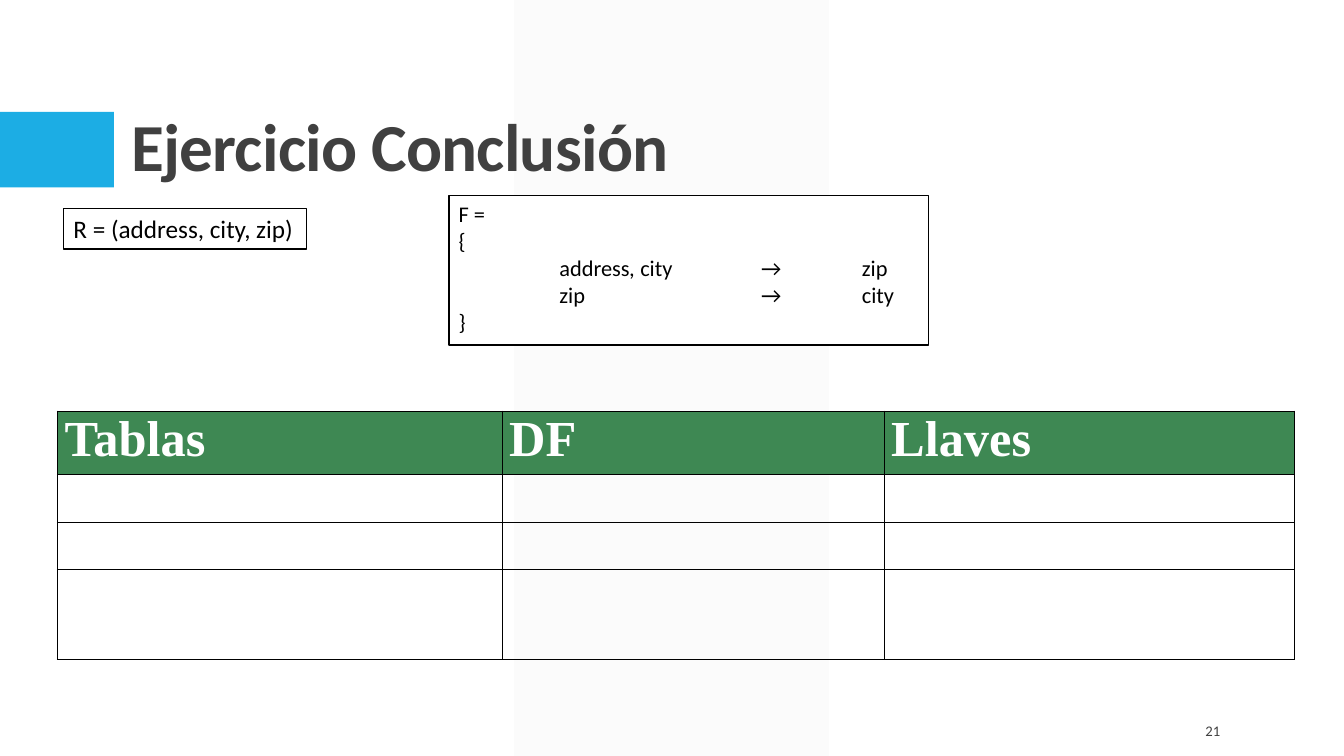
import pptx
import pptx.util
import pptx.dml.color
import pptx.enum.shapes
import pptx.enum.text
import pptx.oxml
import pptx.oxml.ns
import lxml.etree

Inches = pptx.util.Inches
Pt = pptx.util.Pt
SHAPES = pptx.enum.shapes.MSO_SHAPE
ALIGN = pptx.enum.text.PP_ALIGN
ANCHOR = pptx.enum.text.MSO_ANCHOR
AUTO_SIZE = pptx.enum.text.MSO_AUTO_SIZE

INK, GREY, WHITE = "000000", "404040", "FFFFFF"
BLUE, GREEN, PALE = "1CADE4", "3E8853", "F2F2F2"


def colour(value):
    return pptx.dml.color.RGBColor.from_string(value)


def add_element(parent, tag, **attributes):
    element = lxml.etree.SubElement(parent, pptx.oxml.ns.qn(tag))
    for name, value in attributes.items():
        element.set(name, str(value))
    return element


def set_values(target, values):
    for name, value in values.items():
        setattr(target, name, value)


def add_span(para, text, ink, **font_values):
    span = para.add_run()
    span.text = text
    set_values(span.font, {"name": "Calibri", **font_values})
    span.font.color.rgb = colour(ink)
    return span


def add_block(page, box, kind, fill, line=None):
    block = page.shapes.add_shape(kind, *map(Inches, box))
    block.shadow.inherit = False
    block.fill.solid()
    block.fill.fore_color.rgb = colour(fill)
    if line:
        block.line.color.rgb = colour(line)
        block.line.width = Pt(1.25)
    else:
        block.line.fill.background()
    return block


def add_backdrop(page, box):
    left, top, width, height = box
    # Translucent vertical band
    band = add_block(page, (left + 5.1, top, 3.12, height), SHAPES.PARALLELOGRAM, PALE)
    band.adjustments[0] = 0
    tint = band.fill._xPr.find(".//" + pptx.oxml.ns.qn("a:srgbClr"))
    add_element(tint, "a:alpha", val=30000)
    # Accent beside the title
    add_block(page, (left, top + 1.11, 1.13, 0.75), SHAPES.RECTANGLE, BLUE)


def add_title(page, box, text):
    title = page.shapes.title
    page.shapes._spTree.append(title._element)  # in front of the backdrop
    set_values(title, dict(zip(("left", "top", "width", "height"), map(Inches, box))))
    set_values(title.text_frame, {"vertical_anchor": ANCHOR.BOTTOM, "word_wrap": True,
                                  "auto_size": AUTO_SIZE.NONE})
    para = title.text_frame.paragraphs[0]
    set_values(para, {"alignment": ALIGN.LEFT, "line_spacing": 0.9})
    span = add_span(para, text, GREY, size=Pt(48), bold=True)
    span._r.get_or_add_rPr().set("spc", "-50")


def add_page_number(page, box, text):
    frame = page.shapes.add_textbox(*map(Inches, box)).text_frame
    set_values(frame, {"vertical_anchor": ANCHOR.MIDDLE, "word_wrap": True})
    frame.paragraphs[0].alignment = ALIGN.RIGHT
    add_span(frame.paragraphs[0], text, GREY, size=Pt(10.5))


def add_definition(page, box, lines, size, wrap):
    frame = add_block(page, box, SHAPES.RECTANGLE, WHITE, INK).text_frame
    set_values(frame, {"vertical_anchor": ANCHOR.TOP, "word_wrap": wrap,
                       "auto_size": AUTO_SIZE.SHAPE_TO_FIT_TEXT})
    for index, pieces in enumerate(lines):
        para = frame.add_paragraph() if index else frame.paragraphs[0]
        para.alignment = ALIGN.LEFT
        # Tab stops at every inch
        stops = add_element(para._p.get_or_add_pPr(), "a:tabLst")
        for inch in range(1, 5):
            add_element(stops, "a:tab", pos=Inches(inch), algn="l")
        for text, italic in pieces:
            add_span(para, text, INK, size=Pt(size), italic=italic)


def add_borders(cell):
    properties = cell._tc.get_or_add_tcPr()
    for index, side in enumerate(("a:lnL", "a:lnR", "a:lnT", "a:lnB")):
        edge = pptx.oxml.parse_xml(
            f'<{side} {pptx.oxml.ns.nsdecls("a")} w="{Pt(1)}"><a:solidFill>'
            f'<a:srgbClr val="{INK}"/></a:solidFill></{side}>')
        properties.insert(index, edge)


def add_answer_table(page, box, headings, widths, heights):
    table = page.shapes.add_table(len(heights), len(widths), *map(Inches, box)).table
    set_values(table, {"first_row": False, "horz_banding": False})
    for column, width in zip(table.columns, widths):
        column.width = Inches(width)
    for row, height in zip(table.rows, heights):
        row.height = Inches(height)
    for cell in table.iter_cells():
        cell.fill.background()
        add_borders(cell)
    # Header row
    for cell, heading in zip(table.rows[0].cells, headings):
        cell.fill.solid()
        cell.fill.fore_color.rgb = colour(GREEN)
        set_values(cell, {"margin_left": Inches(0.07), "margin_right": Inches(0.07),
                          "margin_top": 0, "margin_bottom": 0})
        para = cell.text_frame.paragraphs[0]
        para.alignment = ALIGN.JUSTIFY
        add_span(para, heading, WHITE, name="Times New Roman", size=Pt(36), bold=True)


def build_exercise_page(deck, box):
    page = deck.slides.add_slide(deck.slide_layouts.get_by_name("Title Only"))
    left, top = box[:2]

    def within(x, y, width, height):
        return left + x, top + y, width, height

    add_backdrop(page, box)
    add_title(page, within(1.2, 0.31, 11, 1.59), "Ejercicio Conclusión")
    add_page_number(page, within(11.35, 7.05, 0.85, 0.4), "21")
    # Relation
    add_definition(page, within(0.63, 2.07, 2.41, 0.4),
                   [[("R = (address, city, zip)", False)]], 18, False)
    add_answer_table(page, within(0.57, 4.08, 12.27, 2.46), ("Tablas", "DF", "Llaves"),
                     (4.41, 3.79, 4.07), (0.63, 0.47, 0.47, 0.89))
    # Functional dependencies
    dependencies = [
        [("F =", False)],
        [("{", False)],
        [("\taddress", False), (",", True), (" city \t→ \tzip", False)],
        [("\tzip \t\t→ \tcity", False)],
        [("}", False)],
    ]
    add_definition(page, within(4.45, 1.94, 4.76, 1.48), dependencies, 16, True)


deck = pptx.Presentation()
set_values(deck, {"slide_width": Inches(13.33), "slide_height": Inches(7.5)})
build_exercise_page(deck, (0, 0, 13.33, 7.5))
deck.save("out.pptx")
